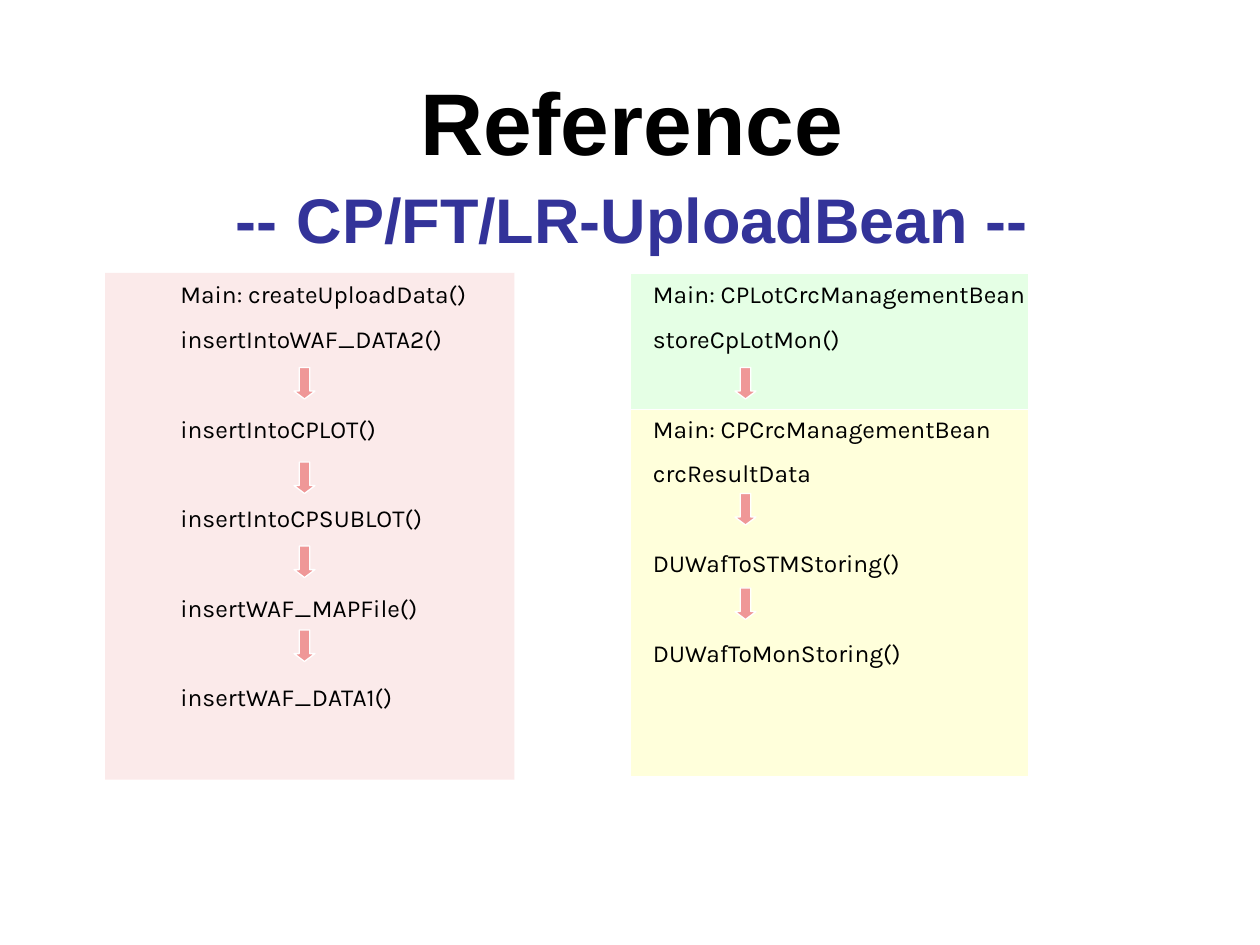
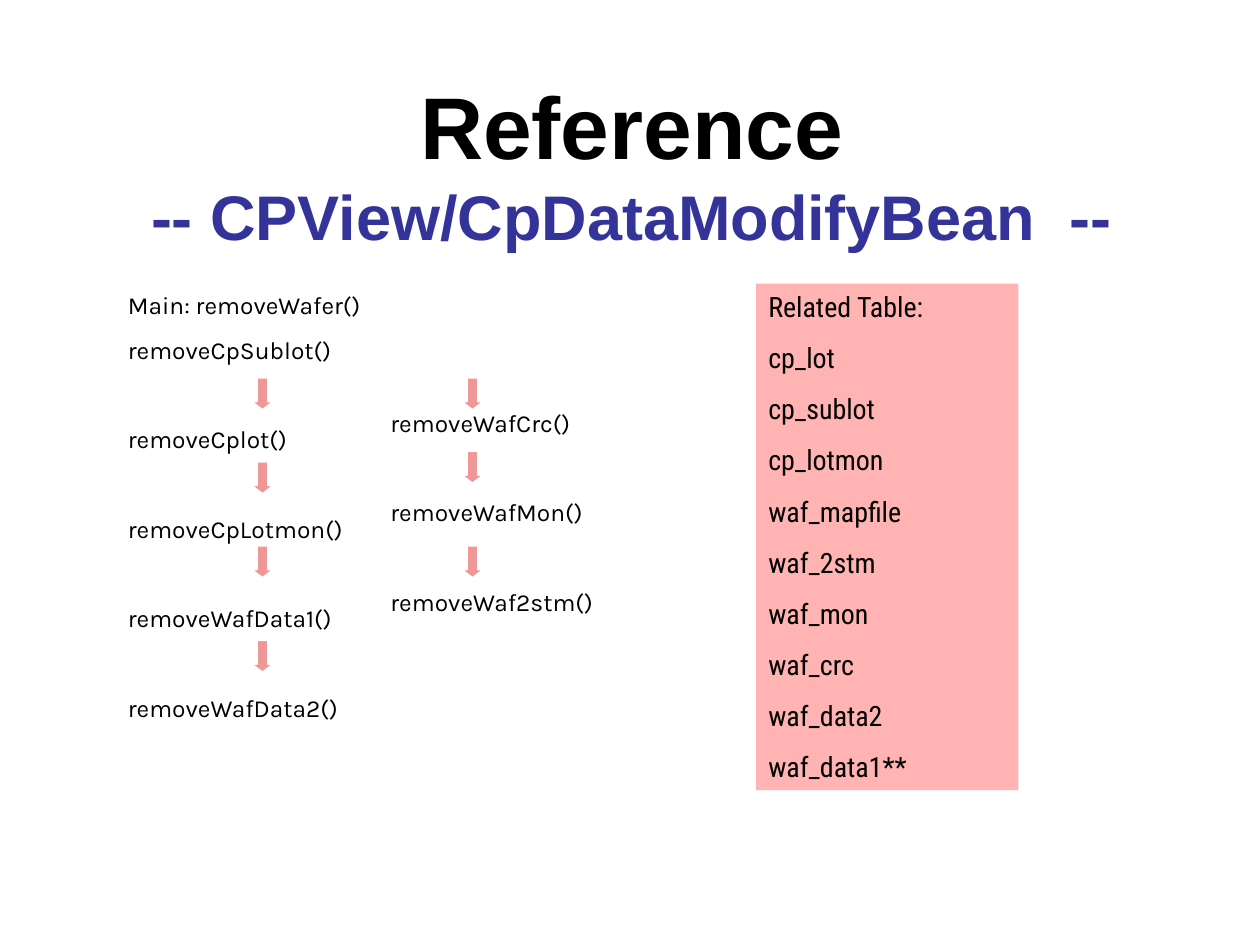
from dataclasses import dataclass

from lxml import etree
from pptx import Presentation
from pptx import util as u
from pptx.dml import color as c
from pptx.enum import shapes, text
from pptx.oxml import ns

Pt = u.Pt


@dataclass(frozen=True)
class Theme:
    ink: str = "000000"
    subtitle: str = "333399"
    edge: str = "FFFFFF"
    arrow: str = "EF9797"
    upload: str = "F9D7D7"
    lot: str = "CCFFCC"
    crc: str = "FFFFB9"
    tables: str = "FFB3B3"
    title_font: str = "Arial"
    step_font: str = "Karla"
    table_font: str = "Roboto Condensed"
    title_size: float = 50
    subtitle_size: float = 36
    gap_size: float = 40
    step_size: float = 14
    table_size: float = 16
    step_space: float = 8.8
    group_space: float = 34.4
    table_space: float = 10


FRAME = {
    "margin_left": Pt(7.2),
    "margin_right": Pt(7.2),
    "margin_top": Pt(3.6),
    "margin_bottom": Pt(3.6),
    "word_wrap": True,
    "auto_size": text.MSO_AUTO_SIZE.NONE,
}


def apply(target, values):
    for name, value in values.items():
        setattr(target, name, value)


class Builder:
    def __init__(self, theme):
        self.theme = theme
        self.deck = Presentation()
        apply(self.deck, {"slide_width": Pt(720), "slide_height": Pt(540)})
        self.page = None

    def add_page(self, heading, subtitle_spans):
        theme = self.theme
        self.page = self.deck.slides.add_slide(self.deck.slide_layouts[5])
        title = self.page.shapes.title
        apply(title, {"left": Pt(18), "top": Pt(48), "width": Pt(686), "height": Pt(90)})
        apply(title.text_frame, {**FRAME, "vertical_anchor": text.MSO_ANCHOR.MIDDLE})
        para = title.text_frame.paragraphs[0]
        para.alignment = text.PP_ALIGN.CENTER
        self.add_span(para, heading, theme.title_font, theme.title_size, theme.ink, True)
        para.add_line_break()
        for words, size in subtitle_spans:
            self.add_span(para, words, theme.title_font, size, theme.subtitle, bool(words.strip()))

    def add_span(self, para, words, font, size, color, bold=False):
        span = para.add_run()
        span.text = words
        apply(span.font, {"name": font, "size": Pt(size), "bold": bold})
        span.font.color.rgb = c.RGBColor.from_string(color)

    def add_shape(self, kind, place, color, outlined=False, opacity=100):
        shape = self.page.shapes.add_shape(kind, *map(Pt, place))
        shape.shadow.inherit = False
        shape.fill.solid()
        shape.fill.fore_color.rgb = c.RGBColor.from_string(color)
        if opacity < 100:
            tint = shape.fill._xPr.find(".//" + ns.qn("a:srgbClr"))
            etree.SubElement(tint, ns.qn("a:alpha"), val=str(opacity * 1000))
        if outlined:
            shape.line.color.rgb = c.RGBColor.from_string(self.theme.edge)
            shape.line.width = Pt(0.75)
        else:
            shape.line.fill.background()
        return shape

    def add_panel(self, place, color, outlined=False):
        self.add_shape(shapes.MSO_SHAPE.RECTANGLE, place, color, outlined, opacity=50)

    def add_arrows(self, left, tops):
        for top in tops:
            arrow = self.add_shape(
                shapes.MSO_SHAPE.DOWN_ARROW, (left, top, 12, 18), self.theme.arrow, outlined=True
            )
            arrow.adjustments[0] = 0.5
            arrow.adjustments[1] = 0.375

    def fill_text(self, box, lines, font, size):
        frame = box.text_frame
        apply(frame, {**FRAME, "vertical_anchor": text.MSO_ANCHOR.TOP})
        for index, (words, space) in enumerate(lines):
            para = frame.add_paragraph() if index else frame.paragraphs[0]
            apply(para, {"alignment": text.PP_ALIGN.LEFT, "space_before": Pt(space if index else 0)})
            self.add_span(para, words, font, size, self.theme.ink)

    def add_steps(self, place, groups):
        theme = self.theme
        lines = [
            (words, theme.step_space if index else theme.group_space)
            for group in groups
            for index, words in enumerate(group)
        ]
        box = self.page.shapes.add_textbox(*map(Pt, place))
        self.fill_text(box, lines, theme.step_font, theme.step_size)

    def add_table_list(self, place, names):
        theme = self.theme
        box = self.add_shape(shapes.MSO_SHAPE.RECTANGLE, place, theme.tables)
        lines = [(name, theme.table_space) for name in names]
        self.fill_text(box, lines, theme.table_font, theme.table_size)


def build_upload_page(builder):
    theme = builder.theme
    builder.add_page("Reference", [
        ("--", theme.subtitle_size),
        (" ", theme.gap_size),
        ("CP/FT/LR-UploadBean --", theme.subtitle_size),
    ])
    builder.add_panel((360, 234, 228, 210), theme.crc, outlined=True)
    builder.add_panel((360, 156, 228, 78), theme.lot, outlined=True)
    builder.add_panel((60, 156, 234, 289.5), theme.upload)
    builder.add_steps((96, 156, 258, 280), [
        ["Main: createUploadData()", "insertIntoWAF_DATA2()"],
        ["insertIntoCPLOT()"],
        ["insertIntoCPSUBLOT()"],
        ["insertWAF_MAPFile()"],
        ["insertWAF_DATA1()"],
    ])
    builder.add_arrows(168, (210, 264, 312, 360))
    builder.add_steps((366, 156, 258, 254), [
        ["Main: CPLotCrcManagementBean", "storeCpLotMon()"],
        ["Main: CPCrcManagementBean", "crcResultData"],
        ["DUWafToSTMStoring()"],
        ["DUWafToMonStoring()"],
    ])
    builder.add_arrows(420, (210, 282, 336))


def build_modify_page(builder):
    builder.add_page("Reference", [
        ("-- CPView/CpDataModifyBean  --", builder.theme.subtitle_size),
    ])
    builder.add_steps((66, 162, 192, 254), [
        ["Main: removeWafer()", "removeCpSublot()"],
        ["removeCplot()"],
        ["removeCpLotmon()"],
        ["removeWafData1()"],
        ["removeWafData2()"],
    ])
    builder.add_arrows(144, (216, 264, 312, 366))
    builder.add_steps((216, 229.5, 192, 152), [
        ["removeWafCrc()"], ["removeWafMon()"], ["removeWaf2stm()"],
    ])
    builder.add_arrows(264, (216, 258, 312))
    builder.add_table_list((432, 162, 150, 289.5), [
        "Related Table:", "cp_lot", "cp_sublot", "cp_lotmon", "waf_mapfile",
        "waf_2stm", "waf_mon", "waf_crc", "waf_data2", "waf_data1**",
    ])


def main():
    builder = Builder(Theme())
    build_upload_page(builder)
    build_modify_page(builder)
    builder.deck.save("out.pptx")


if __name__ == "__main__":
    main()
